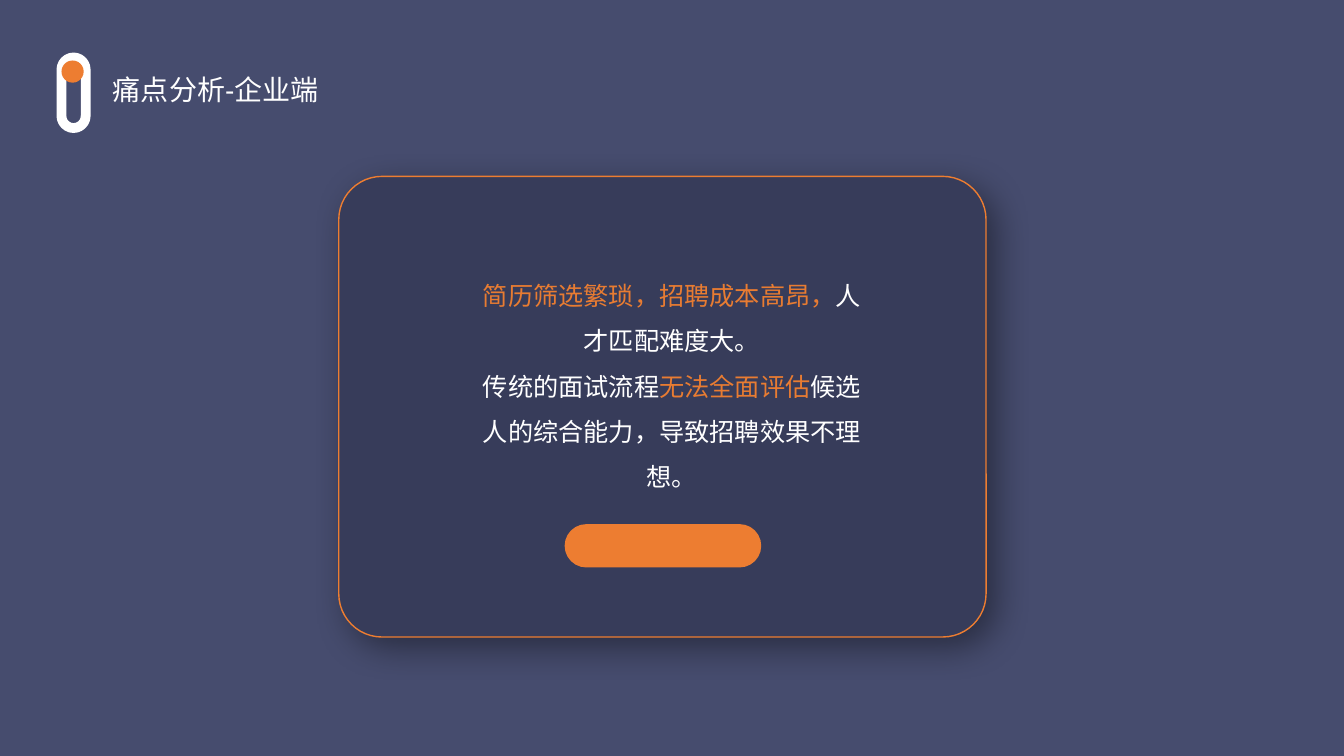
from lxml import etree
from pptx import Presentation
from pptx.dml.color import RGBColor
from pptx.enum.shapes import MSO_SHAPE
from pptx.enum.text import MSO_ANCHOR, MSO_AUTO_SIZE, PP_ALIGN
from pptx.oxml.ns import qn
from pptx.util import Inches, Pt

ROUND = MSO_SHAPE.ROUNDED_RECTANGLE
OVAL = MSO_SHAPE.OVAL
CENTER = PP_ALIGN.CENTER
JUSTIFY = PP_ALIGN.JUSTIFY
TOP = MSO_ANCHOR.TOP
MIDDLE = MSO_ANCHOR.MIDDLE
GROW = MSO_AUTO_SIZE.SHAPE_TO_FIT_TEXT

FONT = "Arial"
WHITE = "FFFFFF"
ORANGE = "ED7D31"
ACCENT = "E87C32"
NAVY = "373C5A"
BACK = "464C6E"


def color(code):
    """Turn a hex string into a colour."""
    return RGBColor.from_string(code)


class Deck:
    """Hold the style and the current slide."""

    def __init__(self):
        """Open a wide deck with one title slide on a plain background."""
        self.prs = Presentation()
        self.prs.slide_width = Inches(13.33)
        self.prs.slide_height = Inches(7.5)
        self.slide = self.prs.slides.add_slide(self.prs.slide_layouts[5])
        fill = self.slide.background.fill
        fill.solid()
        fill.fore_color.rgb = color(BACK)

    def shape(self, kind, box, fill=None, line=None, width=1, adj=None, turn=0):
        """Add a preset shape with its fill, line, corner and rotation."""
        item = self.slide.shapes.add_shape(kind, *map(Inches, box))
        item.shadow.inherit = False
        item.rotation = turn
        if adj is not None:
            item.adjustments[0] = adj
        if fill:
            item.fill.solid()
            item.fill.fore_color.rgb = color(fill)
        else:
            item.fill.background()
        if line:
            item.line.color.rgb = color(line)
            item.line.width = Pt(width)
        else:
            item.line.fill.background()
        return item

    def shade(self, item, blur, dist, angle, alpha):
        """Give a shape a soft black outer shadow."""
        effects = item._element.spPr.find(qn("a:effectLst"))
        outer = etree.SubElement(
            effects, qn("a:outerShdw"), blurRad=str(Pt(blur)), dist=str(Pt(dist)),
            dir=str(angle * 60000), algn="tl", rotWithShape="0")
        tint = etree.SubElement(outer, qn("a:srgbClr"), val="000000")
        etree.SubElement(tint, qn("a:alpha"), val=str(alpha * 1000))

    def put(self, frame, paras, size, align, space, anchor):
        """Fill a text frame with paragraphs of coloured runs."""
        frame.word_wrap = True
        frame.auto_size = GROW
        frame.vertical_anchor = anchor
        for i, runs in enumerate(paras):
            para = frame.add_paragraph() if i else frame.paragraphs[0]
            para.alignment = align
            para.line_spacing = space
            para.font.size = Pt(size)
            para.font.name = FONT
            for text, tone in runs:
                run = para.add_run()
                run.text = text
                run.font.color.rgb = color(tone)

    def title(self, text, box):
        """Place and fill the title placeholder."""
        item = self.slide.shapes.title
        item.left, item.top, item.width, item.height = map(Inches, box)
        self.put(item.text_frame, [[(text, WHITE)]], 20, JUSTIFY, 1.1, MIDDLE)

    def text(self, paras, box):
        """Add a centred text box."""
        item = self.slide.shapes.add_textbox(*map(Inches, box))
        self.put(item.text_frame, paras, 18, CENTER, 1.5, TOP)

    def save(self):
        """Save the deck."""
        self.prs.save("out.pptx")


def main():
    """Build the slide on company pain points."""
    deck = Deck()
    deck.shape(ROUND, (0.38, 0.8, 0.7, 0.24), line=WHITE, width=7, adj=0.5, turn=270)
    deck.shape(OVAL, (0.61, 0.6, 0.22, 0.22), fill=ORANGE, turn=270)
    deck.title("痛点分析-企业端", (1.02, 0.63, 2.77, 0.47))

    card = deck.shape(ROUND, (3.36, 1.75, 6.42, 4.57), fill=NAVY, line=ORANGE, adj=0.094)
    deck.shade(card, blur=25, dist=10, angle=45, alpha=40)
    deck.text([
        [("简历筛选繁琐，招聘成本高昂，", ACCENT), ("⼈才匹配难度⼤。", WHITE)],
        [("传统的⾯试流程", WHITE), ("⽆法全⾯评估", ACCENT),
         ("候选⼈的综合能⼒，导致招聘效果不理想。", WHITE)],
    ], (4.61, 2.58, 4.11, 2.35))
    deck.shape(ROUND, (5.6, 5.2, 1.95, 0.43), fill=ORANGE, adj=0.5)
    deck.save()


if __name__ == "__main__":
    main()
